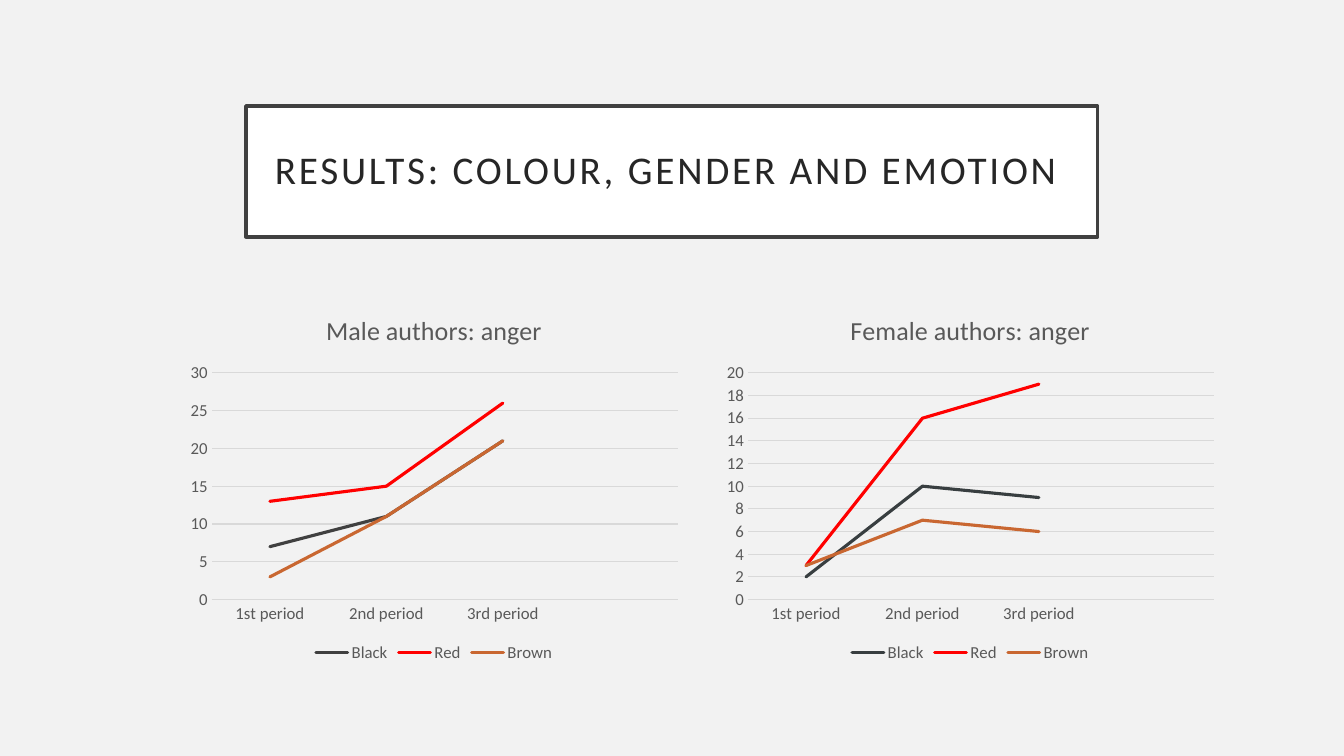
from lxml.etree import SubElement
from pptx import Presentation
from pptx.chart.data import CategoryChartData
from pptx.dml.color import RGBColor
from pptx.enum.chart import XL_CHART_TYPE as ChartType, XL_LEGEND_POSITION as LegendPosition
from pptx.enum.chart import XL_TICK_MARK as TickMark
from pptx.enum.shapes import MSO_SHAPE as Shape
from pptx.enum.text import MSO_ANCHOR as Anchor, PP_ALIGN as Align
from pptx.util import Cm, Pt

PERIODS = ["1st period", "2nd period", "3rd period", ""]


def colour(hex_code):
    return RGBColor.from_string(hex_code)


class ResultsSlide:
    font = "Calibri"
    background = "F2F2F2"
    frame = "404040"
    heading_text = "262626"
    chart_text = "595959"
    grid = "D9D9D9"

    def __init__(self, presentation):
        self.slide = presentation.slides.add_slide(presentation.slide_layouts[6])
        fill = self.slide.background.fill
        fill.solid()
        fill.fore_color.rgb = colour(self.background)

    def style_font(self, font, size, hex_code):
        font.name = self.font
        font.size = Pt(size)
        font.bold = False
        font.color.rgb = colour(hex_code)

    def style_line(self, line, width, hex_code):
        line.width = Pt(width)
        line.color.rgb = colour(hex_code)

    def heading(self, text, left, top, width, height):
        box = self.slide.shapes.add_shape(
            Shape.RECTANGLE, Cm(left), Cm(top), Cm(width), Cm(height))
        box.shadow.inherit = False
        box.fill.solid()
        box.fill.fore_color.rgb = colour("FFFFFF")
        self.style_line(box.line, 2.5, self.frame)
        frame = box.text_frame
        frame.word_wrap = True
        frame.vertical_anchor = Anchor.MIDDLE
        frame.margin_left = frame.margin_right = Cm(0.5)
        frame.margin_top = frame.margin_bottom = Cm(0.5)
        paragraph = frame.paragraphs[0]
        paragraph.alignment = Align.CENTER
        paragraph.line_spacing = 0.9
        run = paragraph.add_run()
        run.text = text
        self.style_font(run.font, 28, self.heading_text)
        run.font._element.set("spc", "200")

    def line_chart(self, title, series, top_value, step, left, top, width, height):
        data = CategoryChartData()
        data.categories = PERIODS
        for name, values, _ in series:
            data.add_series(name, values + [None])
        chart = self.slide.shapes.add_chart(
            ChartType.LINE, Cm(left), Cm(top), Cm(width), Cm(height), data).chart
        self.style_font(chart.font, 12, self.chart_text)

        chart.has_title = True
        run = chart.chart_title.text_frame.paragraphs[0].add_run()
        run.text = title
        self.style_font(run.font, 18.6, self.chart_text)
        chart.chart_title.include_in_layout = False

        chart.has_legend = True
        chart.legend.position = LegendPosition.BOTTOM
        chart.legend.include_in_layout = False
        self.style_font(chart.legend.font, 12, self.chart_text)

        periods, counts = chart.category_axis, chart.value_axis
        for axis in (periods, counts):
            axis.major_tick_mark = axis.minor_tick_mark = TickMark.NONE
            self.style_font(axis.tick_labels.font, 12, self.chart_text)
        self.style_line(periods.format.line, 0.75, self.grid)
        counts.format.line.fill.background()
        counts.minimum_scale = 0
        counts.maximum_scale = top_value
        counts.major_unit = step
        counts.has_major_gridlines = True
        self.style_line(counts.major_gridlines.format.line, 0.75, self.grid)

        plot = chart.plots[0]
        plot.vary_by_categories = False
        for drawn, (_, _, hex_code) in zip(plot.series, series):
            drawn.smooth = False
            self.style_line(drawn.format.line, 2.25, hex_code)
            line = drawn.format.line._get_or_add_ln()
            line.set("cap", "rnd")
            SubElement(line, line.tag.replace("}ln", "}round"))


def main():
    presentation = Presentation()
    presentation.slide_width = Cm(33.87)
    presentation.slide_height = Cm(19.05)
    results = ResultsSlide(presentation)
    results.heading("RESULTS: COLOUR, GENDER AND EMOTION ", 6.2, 2.67, 21.46, 3.3)

    anger = [
        ("Male authors: anger", 30, 5, "404040", [7, 11, 21], [13, 15, 26], [3, 11, 21]),
        ("Female authors: anger", 20, 2, "383E40", [2, 10, 9], [3, 16, 19], [3, 7, 6]),
    ]
    for column, (title, top_value, step, dark, black, red, brown) in enumerate(anger):
        series = [("Black", black, dark), ("Red", red, "FF0000"), ("Brown", brown, "C96731")]
        results.line_chart(title, series, top_value, step,
                           4.55 + 13.51 * column, 7.42, 12.78, 9.37)
    presentation.save("out.pptx")


if __name__ == "__main__":
    main()
